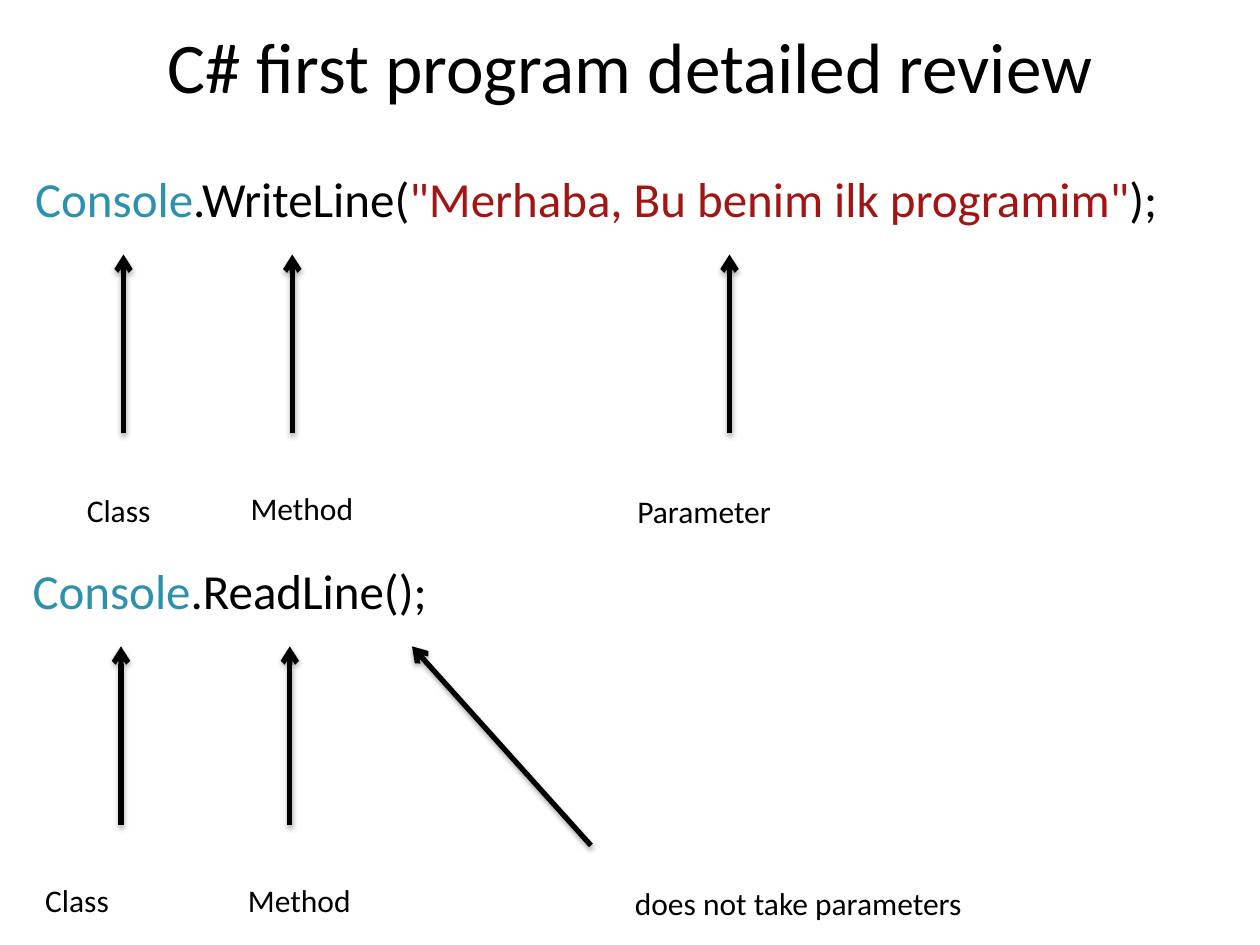
from dataclasses import dataclass

from lxml.etree import SubElement
from pptx import Presentation
from pptx.dml.color import RGBColor
from pptx.enum.shapes import MSO_CONNECTOR
from pptx.enum.text import MSO_ANCHOR, MSO_AUTO_SIZE, PP_ALIGN
from pptx.oxml.ns import qn
from pptx.util import Inches, Pt


@dataclass(frozen=True)
class Theme:
    font: str = "Calibri"
    ink: str = "000000"
    type: str = "2B91AF"
    quote: str = "A31515"
    title: float = 40.7
    code: float = 28
    label: float = 18
    line: float = 3


def write(para, text, *, font, size, color):
    run = para.add_run()
    run.text = text
    run.font.name = font
    run.font.size = Pt(size)
    run.font.color.rgb = RGBColor.from_string(color)


class Deck:
    def __init__(self, theme):
        self.theme = theme
        self.file = Presentation()
        self.file.slide_width, self.file.slide_height = Inches(10), Inches(7.5)
        self.slide = self.file.slides.add_slide(self.file.slide_layouts[6])
        self.shapes = self.slide.shapes

    def group(self):
        self.shapes = self.slide.shapes.add_group_shape().shapes

    def ungroup(self):
        self.shapes = self.slide.shapes

    def box(self, parts, place, size):
        shape = self.shapes.add_textbox(*map(Inches, place))
        frame = shape.text_frame
        frame.word_wrap = True
        frame.auto_size = MSO_AUTO_SIZE.SHAPE_TO_FIT_TEXT
        for text, color in parts:
            write(frame.paragraphs[0], text, font=self.theme.font,
                  size=size, color=color)
        return frame

    def title(self, text, place):
        frame = self.box([(text, self.theme.ink)], place, self.theme.title)
        frame.auto_size = MSO_AUTO_SIZE.NONE
        frame.vertical_anchor = MSO_ANCHOR.MIDDLE
        frame.paragraphs[0].alignment = PP_ALIGN.CENTER

    def code(self, parts, left, top):
        self.box(parts, (left, top, 9.65, 0.57), self.theme.code)

    def label(self, text, left, top, width):
        self.box([(text, self.theme.ink)], (left, top, width, 0.4),
                 self.theme.label)

    def arrow(self, start, end):
        line = self.shapes.add_connector(
            MSO_CONNECTOR.STRAIGHT, *map(Inches, (*start, *end)))
        line.line.color.rgb = RGBColor.from_string(self.theme.ink)
        line.line.width = Pt(self.theme.line)
        SubElement(line.line._get_or_add_ln(), qn("a:tailEnd"), type="arrow")
        # Soft shadow straight below
        effects = SubElement(line._element.spPr, qn("a:effectLst"))
        shadow = SubElement(effects, qn("a:outerShdw"), blurRad="40000",
                            dist="23000", dir="5400000", rotWithShape="0")
        color = SubElement(shadow, qn("a:srgbClr"), val=self.theme.ink)
        SubElement(color, qn("a:alpha"), val="35000")

    def rise(self, xs, top):
        for x in xs:
            self.arrow((x, top + 1.42), (x, top))


def main():
    theme = Theme()
    deck = Deck(theme)
    deck.title("C# first program detailed review", (0.5, 0.13, 9, 0.77))

    # Call with a parameter
    deck.group()
    deck.code([("Console", theme.type), (".WriteLine(", theme.ink),
               ('"Merhaba, Bu benim ilk programim"', theme.quote),
               (");", theme.ink)], 0.18, 1.29)
    deck.rise((0.98, 2.32, 5.79), 2.02)
    deck.label("Class", 0.59, 3.85, 0.95)
    deck.label("Method", 1.89, 3.83, 2.4)
    deck.label("Parameter", 4.96, 3.86, 3.19)
    deck.ungroup()

    # Call without parameters
    deck.code([("Console", theme.type), (".ReadLine();", theme.ink)],
              0.16, 4.4)
    deck.rise((0.96, 2.3), 5.13)
    deck.label("Class", 0.26, 6.94, 1.65)
    deck.label("Method", 1.87, 6.94, 2.4)
    deck.label("does not take parameters", 4.94, 6.97, 3.19)
    deck.arrow((4.69, 6.71), (3.27, 5.13))

    deck.file.save("out.pptx")


if __name__ == "__main__":
    main()
